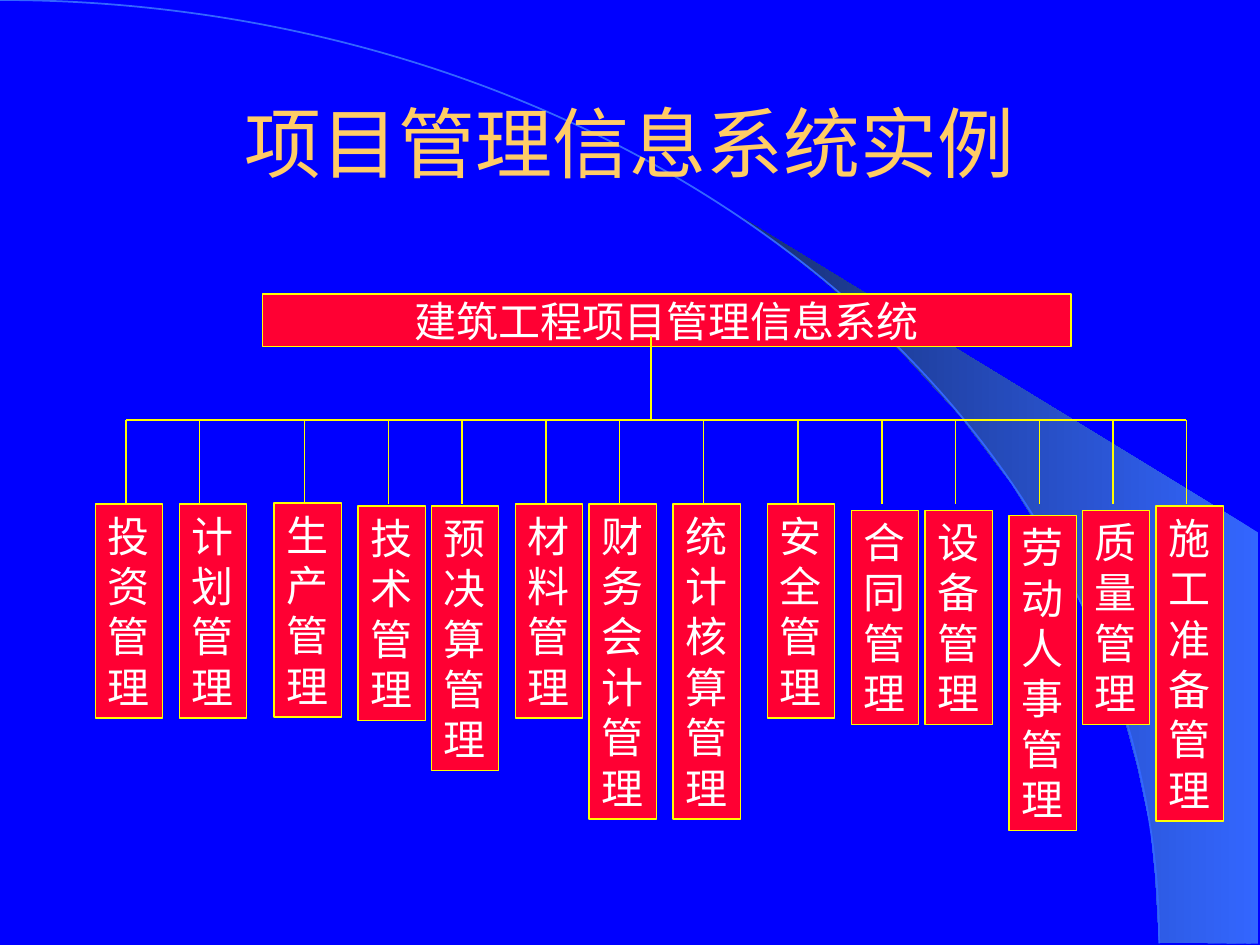
from dataclasses import dataclass

from lxml import etree
from pptx import Presentation
from pptx import util as u
from pptx.dml.color import RGBColor
from pptx.enum import shapes, text
from pptx.oxml import ns


@dataclass(frozen=True)
class Theme:
    back: str = "0000FF"
    beam_light: str = "3366FF"
    beam_dark: str = "172F75"
    heading: str = "FFCC66"
    box: str = "FF0033"
    line: str = "FFFF00"
    label: str = "FFFFFF"
    heading_font: str = "Arial"
    label_font: str = "Times New Roman"
    heading_size: int = 44
    label_size: int = 24
    line_width: float = 0.75
    arc_width: float = 1


class Board:
    """A slide on a grid of 120 columns by 90 rows, 12 to the inch."""

    def __init__(self, slide, theme):
        self.slide, self.theme = slide, theme
        self.shapes = slide.shapes
        slide.background.fill.solid()
        slide.background.fill.fore_color.rgb = RGBColor.from_string(theme.back)

    def cells(self, *counts):
        return [u.Inches(count / 12) for count in counts]

    def stroke(self, part, color, width):
        part.line.color.rgb = RGBColor.from_string(color)
        part.line.width = u.Pt(width)

    def label(self, part, lines, align, frame_format, font_format, color):
        frame = part.text_frame
        for name, value in frame_format.items():
            setattr(frame, name, value)
        frame.text = "\n".join(lines)
        for paragraph in frame.paragraphs:
            paragraph.alignment = align
            for name, value in font_format.items():
                setattr(paragraph.font, name, value)
            paragraph.font.color.rgb = RGBColor.from_string(color)

    def beam(self, outline):
        """Gradient outline, with points in hundredths of an inch."""
        builder = self.shapes.build_freeform(*outline[0], scale=u.Inches(0.01))
        builder.add_line_segments(outline[1:], close=True)
        beam = builder.convert_to_shape()
        beam.shadow.inherit = False
        beam.line.fill.background()
        beam.fill.gradient()
        beam.fill.gradient_angle = 180
        colors = (self.theme.beam_light, self.theme.beam_dark)
        for stop, color in zip(beam.fill.gradient_stops, colors):
            stop.color.rgb = RGBColor.from_string(color)

    def arc(self, *place):
        arc = self.shapes.add_shape(shapes.MSO_SHAPE.ARC, *self.cells(*place))
        arc.shadow.inherit = False
        arc.fill.background()
        self.stroke(arc, self.theme.beam_light, self.theme.arc_width)

    def heading(self, wording, *place):
        heading = self.shapes.add_textbox(*self.cells(*place))
        theme = self.theme
        self.label(heading, [wording], text.PP_ALIGN.CENTER,
                   {"word_wrap": True, "vertical_anchor": text.MSO_ANCHOR.MIDDLE},
                   {"name": theme.heading_font, "size": u.Pt(theme.heading_size)},
                   theme.heading)

    def box(self, lines, place, align, frame_format):
        box = self.shapes.add_shape(shapes.MSO_SHAPE.RECTANGLE, *self.cells(*place))
        theme = self.theme
        box.shadow.inherit = False
        box.fill.solid()
        box.fill.fore_color.rgb = RGBColor.from_string(theme.box)
        self.stroke(box, theme.line, theme.line_width)
        self.label(box, lines, align, {"word_wrap": False, **frame_format},
                   {"name": theme.label_font, "size": u.Pt(theme.label_size)},
                   theme.label)

    def link(self, *ends):
        link = self.shapes.add_connector(shapes.MSO_CONNECTOR.STRAIGHT,
                                         *self.cells(*ends))
        self.stroke(link, self.theme.line, self.theme.line_width)
        etree.SubElement(link._element.spPr, ns.qn("a:effectLst"))


BEAM = [(920, 748), (999, 749), (999, 423), (589, 173), (624, 199), (653, 222),
        (685, 250), (716, 280), (762, 330), (803, 384), (832, 431), (858, 479),
        (878, 528), (893, 572), (903, 609), (913, 656), (917, 696)]

# Subsystem, column of its branch line, top row of its box
SUBSYSTEMS = [
    ("投资管理", 12, 48), ("计划管理", 19, 48), ("生产管理", 29, 47.9),
    ("技术管理", 37, 48.2), ("预决算管理", 44, 48.2), ("材料管理", 52, 48),
    ("财务会计管理", 59, 48), ("统计核算管理", 67, 48), ("安全管理", 76, 48),
    ("合同管理", 84, 48.6), ("设备管理", 91, 48.6), ("劳动人事管理", 99, 49.1),
    ("质量管理", 106, 48.6), ("施工准备管理", 113, 48.2),
]
BOX_SHIFT = {"计划管理": -1.9}  # the others start 2.9 columns left of the branch
BUS_ROW, BRANCH_END = 40, 48


def main():
    deck = Presentation()
    deck.slide_width, deck.slide_height = u.Inches(10), u.Inches(7.5)
    board = Board(deck.slides.add_slide(deck.slide_layouts[6]), Theme())

    # Backdrop
    board.beam(BEAM)
    board.arc(-110.4, 0, 220.8, 179.7)

    # Title and whole system
    board.heading("项目管理信息系统实例", 9, 8, 102, 11)
    board.box(["建筑工程项目管理信息系统"], (25, 28, 77, 5), text.PP_ALIGN.CENTER,
              {"vertical_anchor": text.MSO_ANCHOR.MIDDLE})

    # Subsystems, one character a line
    for name, column, top in SUBSYSTEMS:
        left = column + BOX_SHIFT.get(name, -2.9)
        board.box(name, (left, top, 6.4, 1.2 + 4.8 * len(name)), text.PP_ALIGN.LEFT,
                  {"vertical_anchor": text.MSO_ANCHOR.TOP,
                   "auto_size": text.MSO_AUTO_SIZE.SHAPE_TO_FIT_TEXT})

    # Bus, branches and trunk
    columns = [column for _, column, _ in SUBSYSTEMS]
    board.link(columns[0], BUS_ROW, columns[-1], BUS_ROW)
    for column in columns:
        board.link(column, BUS_ROW, column, BRANCH_END)
    board.link(62, 32, 62, BUS_ROW)

    deck.save("out.pptx")


if __name__ == "__main__":
    main()
